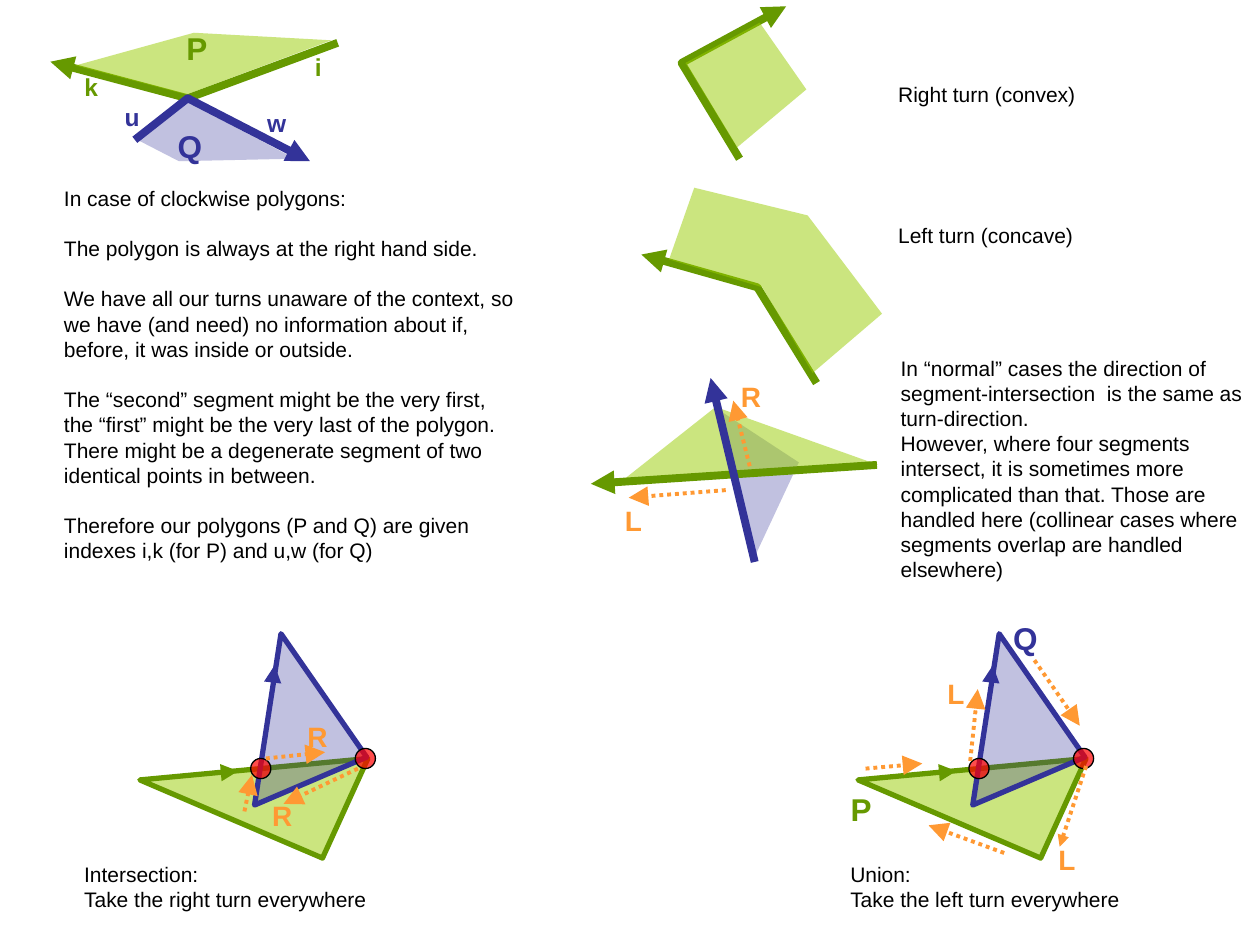
from dataclasses import dataclass

from lxml import etree
from pptx import Presentation
from pptx.dml.color import RGBColor
from pptx.enum.dml import MSO_LINE
from pptx.enum.shapes import MSO_CONNECTOR, MSO_SHAPE
from pptx.oxml.ns import qn
from pptx.util import Inches, Pt

DOT = MSO_LINE.ROUND_DOT
OVAL = MSO_SHAPE.OVAL
STRAIGHT = MSO_CONNECTOR.STRAIGHT
WIDE, HIGH = Inches(10), Inches(7.5)
CELL = WIDE // 1000


@dataclass(frozen=True)
class Theme:
    font: str = "Arial"
    green: str = "669900"
    lime: str = "99CC00"
    blue: str = "333399"
    orange: str = "FF9933"
    red: str = "FF0000"
    black: str = "000000"
    body: int = 12
    small: int = 14
    turn: int = 16
    name: int = 18
    gap: float = 14.4
    bold: float = 4.5
    edge: float = 3
    dots: float = 2.25
    thin: float = 1
    rim: float = 0.75


T = Theme()


def paint(shape, color, share):
    shape.fill.solid()
    shape.fill.fore_color.rgb = RGBColor.from_string(color)
    tint = shape.fill._xPr.find(".//" + qn("a:srgbClr"))
    etree.SubElement(tint, qn("a:alpha"), val=str(share * 1000))


def stroke(shape, color, width):
    shape.line.color.rgb = RGBColor.from_string(color)
    shape.line.width = Pt(width)


def tip(shape, size):
    line = shape.line._get_or_add_ln()
    etree.SubElement(line, qn("a:tailEnd"), type="triangle", w=size, len=size)


def outline(slide, points, close):
    first, *rest = points
    pen = slide.shapes.build_freeform(*first, scale=CELL)
    pen.add_line_segments(rest, close=close)
    shape = pen.convert_to_shape()
    shape.shadow.inherit = False
    return shape


def area(slide, points, color, share, edge=None):
    shape = outline(slide, points, True)
    paint(shape, color, share)
    if edge:
        stroke(shape, edge, T.edge)
    else:
        shape.line.fill.background()


def bend(slide, points, color):
    shape = outline(slide, points, False)
    shape.fill.background()
    stroke(shape, color, T.bold)
    tip(shape, "med")


def arrow(slide, ends, color, width, size="lg", dash=None):
    places = [CELL * n for point in ends for n in point]
    line = slide.shapes.add_connector(STRAIGHT, *places)
    stroke(line, color, width)
    if dash:
        line.line.dash_style = dash
    tip(line, size)
    etree.SubElement(line._element.spPr, qn("a:effectLst"))


def hint(slide, start, end, size="lg"):
    arrow(slide, (start, end), T.orange, T.dots, size, DOT)


def write(slide, box, lines, size, color, bold=False, wrap=False, pad=(0, 0), gaps=()):
    frame = slide.shapes.add_textbox(*(CELL * n for n in box)).text_frame
    frame.word_wrap = wrap
    frame.margin_left = frame.margin_right = CELL * pad[0]
    frame.margin_top = frame.margin_bottom = CELL * pad[1]
    frame.text = "\n".join(lines)
    for index, para in enumerate(frame.paragraphs):
        if index in gaps:
            para.space_before = Pt(T.gap)
        for run in para.runs:
            run.font.name = T.font
            run.font.size = Pt(size)
            run.font.bold = bold
            run.font.color.rgb = RGBColor.from_string(color)


def label(slide, text, left, top, size, color):
    write(slide, (left, top, size, size * 5 // 3), [text], size, color, bold=True)


def note(slide, box, lines, wrap=False, gaps=()):
    write(slide, box, lines, T.body, T.black, wrap=wrap, pad=(10, 5), gaps=gaps)


def meet(slide, left):
    def move(*points):
        return [(left + x, y) for x, y in points]

    area(slide, move((181, 602), (145, 681), (0, 619)), T.lime, 50, T.green)
    area(slide, move((180, 601), (91, 639), (112, 503)), T.blue, 30, T.blue)
    arrow(slide, move((100, 588), (107, 528)), T.blue, T.thin)
    arrow(slide, move((12, 618), (78, 612)), T.green, T.thin)
    for x, y in move((171, 594), (88, 602)):
        dot = slide.shapes.add_shape(OVAL, CELL * x, CELL * y, CELL * 16, CELL * 16)
        dot.shadow.inherit = False
        paint(dot, T.red, 70)
        stroke(dot, T.black, T.rim)


def draw_pair(slide):
    bend(slide, [(268, 34), (149, 78), (40, 49)], T.green)
    bend(slide, [(107, 111), (149, 78), (246, 128)], T.blue)
    area(slide, [(142, 128), (109, 111), (149, 81), (234, 126)], T.blue, 30)
    area(slide, [(60, 52), (154, 26), (263, 32), (148, 75)], T.lime, 50)
    label(slide, "P", 148, 23, T.name, T.green)
    label(slide, "Q", 141, 101, T.name, T.blue)
    for text, left, top, color in (
        ("i", 250, 41, T.green), ("k", 67, 57, T.green),
        ("u", 99, 81, T.blue), ("w", 212, 86, T.blue),
    ):
        label(slide, text, left, top, T.small, color)


def draw_turns(slide):
    bend(slide, [(587, 126), (541, 50), (624, 5)], T.green)
    area(slide, [(603, 18), (640, 71), (585, 117), (544, 50)], T.lime, 50)
    bend(slide, [(648, 304), (601, 228), (509, 202)], T.green)
    area(slide, [(551, 149), (641, 171), (700, 249), (645, 296), (605, 228), (531, 206)],
         T.lime, 50)
    note(slide, (703, 60, 161, 30), ["Right turn (convex)"])
    note(slide, (703, 172, 159, 30), ["Left turn (concave)"])


def draw_cross(slide):
    area(slide, [(634, 367), (570, 325), (598, 444)], T.blue, 30)
    area(slide, [(492, 383), (568, 323), (697, 369)], T.lime, 50)
    arrow(slide, [(696, 369), (469, 384)], T.green, T.bold, "med")
    arrow(slide, [(599, 446), (564, 300)], T.blue, T.bold, "med")
    label(slide, "R", 588, 301, T.turn, T.orange)
    hint(slide, (595, 370), (582, 318))
    label(slide, "L", 496, 400, T.turn, T.orange)
    hint(slide, (576, 389), (499, 395))
    note(slide, (705, 277, 295, 190), [
        "In “normal” cases the direction of segment-intersection  is the same as "
        "turn-direction.",
        "However, where four segments intersect, it is sometimes more complicated than "
        "that. Those are handled here (collinear cases where segments overlap are "
        "handled elsewhere)",
    ], wrap=True)


def draw_rules(slide):
    note(slide, (41, 142, 380, 310), [
        "In case of clockwise polygons:",
        "The polygon is always at the right hand side.",
        "We have all our turns unaware of the context, so we have (and need) no "
        "information about if, before, it was inside or outside.",
        "The “second” segment might be the very first, the “first” might be the very "
        "last of the polygon.",
        "There might be a degenerate segment of two identical points in between.",
        "Therefore our polygons (P and Q) are given indexes i,k (for P) and u,w (for Q)",
    ], wrap=True, gaps=(1, 2, 3, 5))


def draw_inter(slide):
    meet(slide, 111)
    for left, top in ((216, 634), (244, 571)):
        label(slide, "R", left, top, T.turn, T.orange)
    for start, end in (
        ((284, 610), (225, 638)), ((211, 602), (258, 597)), ((194, 644), (200, 615)),
    ):
        hint(slide, start, end)
    note(slide, (57, 679, 246, 50), ["Intersection:", "Take the right turn everywhere"])


def draw_union(slide):
    meet(slide, 681)
    label(slide, "P", 675, 627, T.name, T.green)
    label(slide, "Q", 804, 491, T.name, T.blue)
    for left, top in ((752, 537), (840, 669)):
        label(slide, "L", left, top, T.turn, T.orange)
    hint(slide, (862, 608), (841, 672), "med")
    for start, end in (
        ((770, 604), (776, 547)), ((797, 677), (737, 655)),
        ((687, 610), (732, 606)), ((821, 524), (857, 576)),
    ):
        hint(slide, start, end)
    note(slide, (665, 679, 236, 50), ["Union:", "Take the left turn everywhere"])


def main():
    deck = Presentation()
    deck.slide_width, deck.slide_height = WIDE, HIGH
    slide = deck.slides.add_slide(deck.slide_layouts[6])
    for draw in (draw_pair, draw_rules, draw_turns, draw_cross, draw_inter, draw_union):
        draw(slide)
    deck.save("out.pptx")


main()
